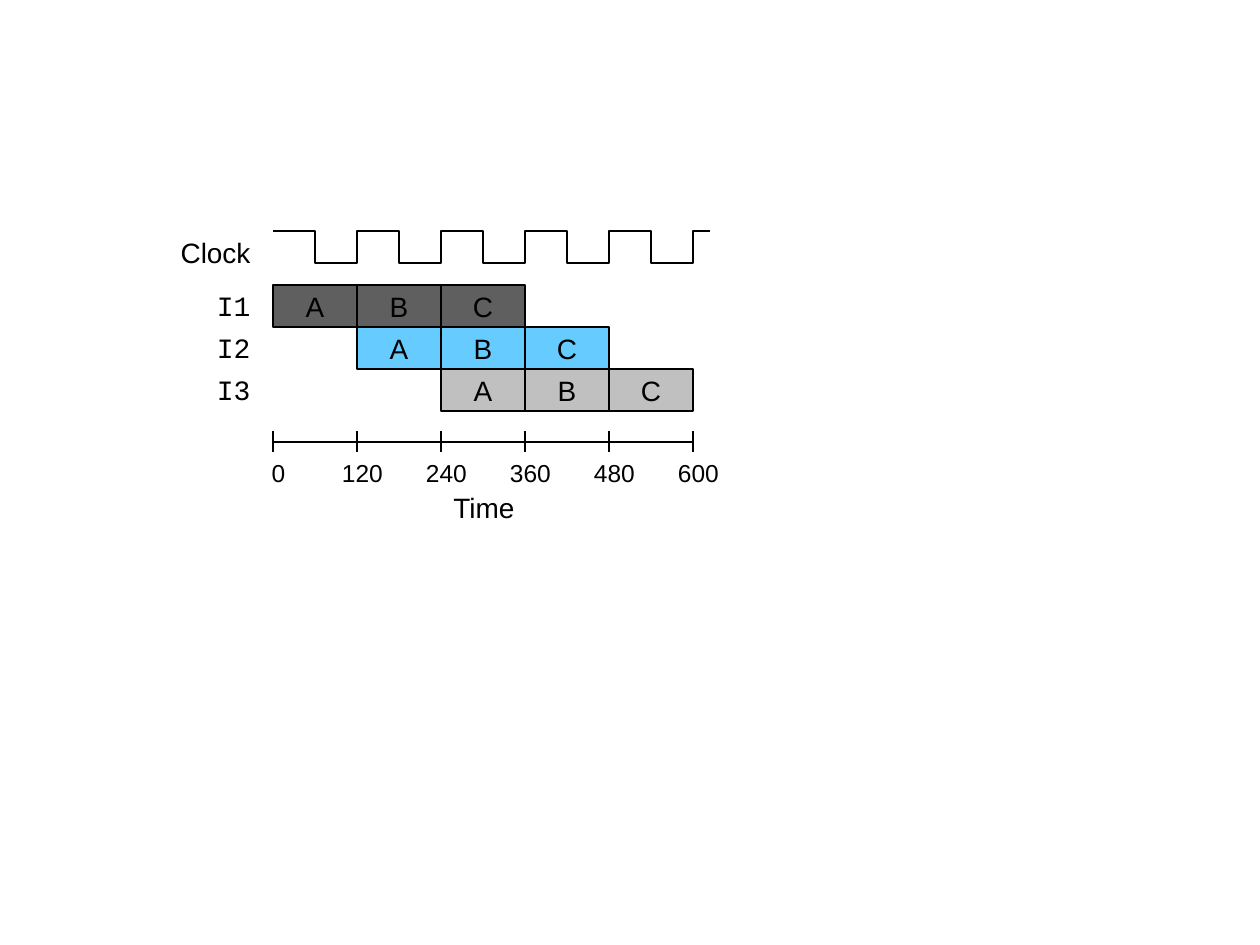
from lxml.etree import SubElement
from pptx import Presentation
from pptx.dml.color import RGBColor
from pptx.enum.shapes import MSO_CONNECTOR as CONN, MSO_SHAPE as SHAPE
from pptx.enum.text import MSO_ANCHOR as ANCHOR, PP_ALIGN as ALIGN
from pptx.oxml.ns import qn
from pptx.util import Emu, Pt

PX = 914400 / 126
BLACK = RGBColor(0x00, 0x00, 0x00)
WHITE = RGBColor(0xFF, 0xFF, 0xFF)
DARK = RGBColor(0x5F, 0x5F, 0x5F)
BLUE = RGBColor(0x66, 0xCC, 0xFF)
GREY = RGBColor(0xC0, 0xC0, 0xC0)

X0, CYCLE, ROW_H = 273, 84, 42
CYCLES = 5


def add_text(shapes, box, text, align, size=16, font="Arial", fill=None, border=False, wrap=False):
    """Add a text box, or a rectangle when a fill is given."""
    box = [Emu(round(v * PX)) for v in box]
    if fill is None:
        sp = shapes.add_textbox(*box)
    else:
        sp = shapes.add_shape(SHAPE.RECTANGLE, *box)
        sp.shadow.inherit = False
        sp.fill.solid()
        sp.fill.fore_color.rgb = fill
        if border:
            sp.line.color.rgb = BLACK
            sp.line.width = Pt(0.75)
        else:
            sp.line.fill.background()
    tf = sp.text_frame
    tf.word_wrap = wrap
    tf.vertical_anchor = ANCHOR.TOP if fill is None else ANCHOR.MIDDLE
    p = tf.paragraphs[0]
    p.alignment = align
    r = p.add_run()
    r.text = text
    for name, value in {"name": font, "size": Pt(size)}.items():
        setattr(r.font, name, value)
    r.font.color.rgb = BLACK


def add_line(shapes, x1, y1, x2, y2, width):
    ends = [Emu(round(v * PX)) for v in (x1, y1, x2, y2)]
    line = shapes.add_connector(CONN.STRAIGHT, *ends)
    line.line.color.rgb = BLACK
    line.line.width = Pt(width)
    SubElement(line._element.spPr, qn("a:effectLst"))


prs = Presentation()
prs.slide_width, prs.slide_height = Emu(round(1260 * PX)), Emu(round(945 * PX))
s = prs.slides.add_slide(prs.slide_layouts[6])

# Axis title
add_text(s.shapes, (441, 484, 87, 45), "Time", ALIGN.LEFT)

# Row labels
for i, name in enumerate(["I1", "I2", "I3"]):
    add_text(s.shapes, (147, 284 + i * ROW_H, 116, ROW_H), name, ALIGN.RIGHT,
             font="Courier New", fill=WHITE)

# Pipeline stages, each instruction one cycle later
for i, color in enumerate([DARK, BLUE, GREY]):
    row = s.shapes.add_group_shape().shapes
    for j, stage in enumerate("ABC"):
        add_text(row, (X0 + (i + j) * CYCLE, 285 + i * ROW_H, CYCLE, ROW_H), stage,
                 ALIGN.CENTER, fill=color, border=True)

# Time axis with ticks and values
axis = s.shapes.add_group_shape().shapes
values = s.shapes.add_group_shape().shapes
add_line(axis, X0, 442, X0 + CYCLES * CYCLE, 442, 1)
for i in range(CYCLES + 1):
    x = X0 + i * CYCLE
    add_line(axis, x, 431, x, 452, 0.75)
    add_text(values, (x - 31, 452, 73, 42), str(i * 120), ALIGN.CENTER, size=14, wrap=True)

# Clock signal
HIGH, LOW = 231, 263
points = []
for i in range(CYCLES):
    x = X0 + i * CYCLE
    mid, end = x + CYCLE // 2, x + CYCLE
    points += [(mid, HIGH), (mid, LOW), (end, LOW), (end, HIGH)]
points.append((710, HIGH))
builder = s.shapes.build_freeform(X0, HIGH, scale=PX)
builder.add_line_segments(points, close=False)
clock = builder.convert_to_shape()
clock.shadow.inherit = False
clock.fill.background()
clock.line.color.rgb = BLACK
clock.line.width = Pt(0.75)
add_text(s.shapes, (147, HIGH, 116, ROW_H), "Clock", ALIGN.RIGHT, fill=WHITE)

prs.save("out.pptx")
